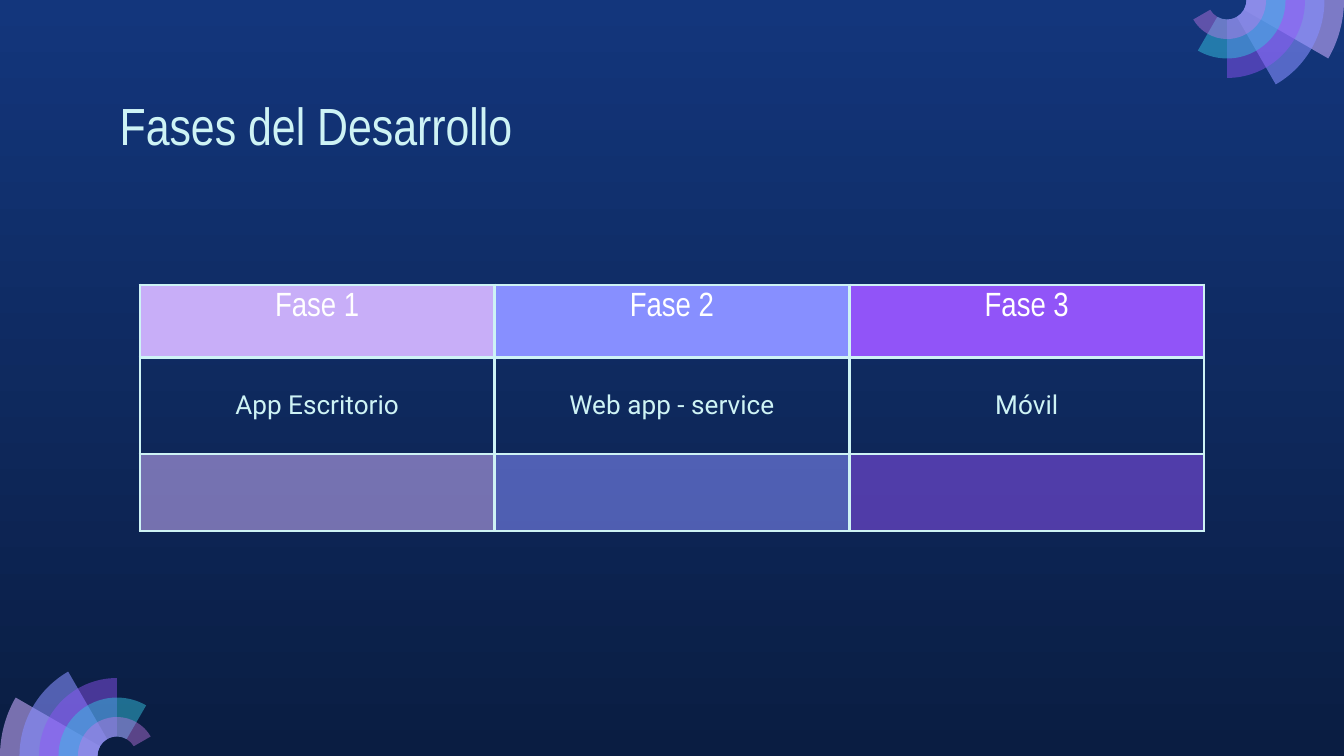
"""Build the development phases slide: a title, a three-phase table and two corner fans."""
from math import cos, radians, sin, tan

from pptx import Presentation
from pptx.dml.color import RGBColor
from pptx.enum.text import MSO_ANCHOR as ANCHOR, PP_ALIGN as ALIGN
from pptx.oxml import parse_xml
from pptx.oxml.ns import nsdecls, qn
from pptx.util import Inches, Pt

COLORS = {
    "top": "13367C", "bottom": "0A1D42", "text": "CEF3F5", "white": "FFFFFF",
    "lilac": "C8ACFD", "blue": "878FFF", "purple": "9154F8", "cyan": "35C2DF",
    "pink": "CA7BEB", "header": "C8AEF8",
}


def fill_solid(fill, props, color, opacity):
    fill.solid()
    fill.fore_color.rgb = RGBColor.from_string(COLORS[color])
    if opacity < 100:
        alpha = f'<a:alpha {nsdecls("a")} val="{opacity * 1000}"/>'
        props.find(qn("a:solidFill"))[0].append(parse_xml(alpha))


def format_text(tf, font, size, color, align):
    p = tf.paragraphs[0]
    p.alignment = align
    for r in p.runs:
        r.font.name = font
        r.font.size = Pt(size)
        r.font.color.rgb = RGBColor.from_string(COLORS[color])


prs = Presentation()
prs.slide_width, prs.slide_height = Inches(10), Inches(5.625)
s = prs.slides.add_slide(prs.slide_layouts[5])

bg = s.background.fill
bg.gradient()
bg.gradient_angle = 270
for stop, position, color in zip(bg.gradient_stops, (0, 1), ("top", "bottom")):
    stop.position = position
    stop.color.rgb = RGBColor.from_string(COLORS[color])

RING = 0.145
SECTORS = [("lilac", 58), ("blue", 58), ("purple", 46), ("cyan", 49), ("pink", 42)]
for cx, cy, turn in [(0.87, 5.625, 180), (9.13, 0, 0)]:
    fan = s.shapes.add_group_shape()
    for i, (color, opacity) in enumerate(SECTORS):
        sweep = 30 * (i + 1)
        angles = [radians(turn + a) for a in sorted({0, min(sweep, 90), sweep})]
        outer = RING * (6 - i)
        nodes = [(outer, a) for a in angles] + [(RING, a) for a in reversed(angles)]
        points = [(Inches(cx + d * cos(a)), Inches(cy + d * sin(a))) for d, a in nodes]
        builder = fan.shapes.build_freeform(*points[0])
        builder.add_line_segments(points[1:], close=True)
        sp = builder.convert_to_shape()
        sp.shadow.inherit = False
        sp.line.fill.background()
        fill_solid(sp.fill, sp._element.spPr, color, opacity)
        lines = list(sp._element.iter(qn("a:lnTo")))
        for line, (d0, a0), (d1, a1), p0, p1 in zip(lines, nodes, nodes[1:], points, points[1:]):
            if d0 != d1:
                continue
            k = Inches(d0) * 4 / 3 * tan((a1 - a0) / 4)
            curve = [
                (p0[0] - k * sin(a0), p0[1] + k * cos(a0)),
                (p1[0] + k * sin(a1), p1[1] - k * cos(a1)),
                p1,
            ]
            pts = "".join(f'<a:pt x="{round(x - sp.left)}" y="{round(y - sp.top)}"/>' for x, y in curve)
            bezier = f'<a:cubicBezTo {nsdecls("a")}>{pts}</a:cubicBezTo>'
            line.getparent().replace(line, parse_xml(bezier))

title = s.shapes.title
title.left, title.top = Inches(0.79), Inches(0.59)
title.width, title.height = Inches(8.42), Inches(0.63)
tf = title.text_frame
tf.text = "Fases del Desarrollo"
tf.margin_left = tf.margin_right = tf.margin_top = tf.margin_bottom = Inches(0.1)
tf.vertical_anchor = ANCHOR.TOP
format_text(tf, "Arial Narrow", 28, "text", ALIGN.LEFT)

ROWS = [
    (0.54, ["Fase 1", "Fase 2", "Fase 3"], ("Arial Narrow", 18, "white"), ANCHOR.TOP, (100, 100, 100)),
    (0.72, ["App Escritorio", "Web app - service", "Móvil"], ("Roboto", 14, "text"), ANCHOR.MIDDLE, None),
    (0.57, ["", "", ""], ("Roboto", 14, "text"), ANCHOR.TOP, (56, 55, 51)),
]
PHASES = ["header", "blue", "purple"]
table = s.shapes.add_table(
    len(ROWS), len(PHASES), Inches(1.04), Inches(2.12), Inches(7.92), Inches(1.83)
).table
table.first_row = table.horz_banding = False
for i, (height, texts, style, anchor, opacities) in enumerate(ROWS):
    table.rows[i].height = Inches(height)
    for j, text in enumerate(texts):
        cell = table.cell(i, j)
        cell.text_frame.text = text
        cell.vertical_anchor = anchor
        format_text(cell.text_frame, *style, ALIGN.CENTER)
        props = cell._tc.get_or_add_tcPr()
        for side in ("lnL", "lnR", "lnT", "lnB"):
            props.append(parse_xml(
                f'<a:{side} {nsdecls("a")} w="{Pt(1.47)}"><a:solidFill>'
                f'<a:srgbClr val="{COLORS["text"]}"/></a:solidFill></a:{side}>'
            ))
        if opacities:
            fill_solid(cell.fill, props, PHASES[j], opacities[j])
        else:
            cell.fill.background()

prs.save("out.pptx")
